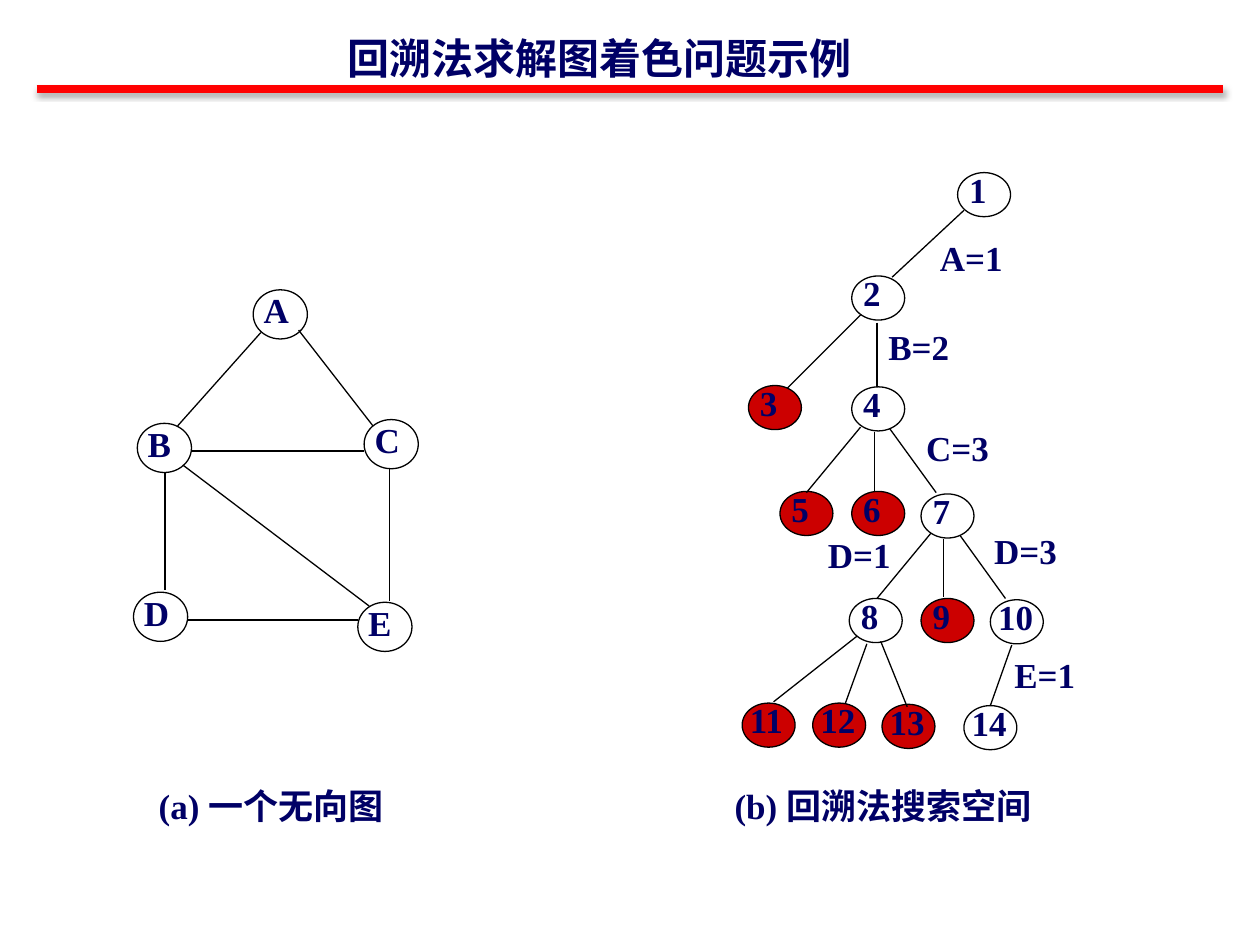
"""Build the slide on graph colouring by backtracking: a graph and its search tree."""
from lxml.etree import SubElement
from pptx import Presentation
from pptx.dml.color import RGBColor
from pptx.enum.shapes import MSO_CONNECTOR, MSO_SHAPE
from pptx.enum.text import MSO_ANCHOR, MSO_AUTO_SIZE, PP_ALIGN
from pptx.oxml.ns import qn
from pptx.util import Inches, Pt

NAVY = RGBColor(0x00, 0x00, 0x66)
RED = RGBColor(0xFF, 0x00, 0x00)
DARK_RED = RGBColor(0xCC, 0x00, 0x00)
BLACK = RGBColor(0x00, 0x00, 0x00)
LATIN_FONT = "Times New Roman"
CHINESE_FONT = "Noto Sans CJK SC"

deck = Presentation()
deck.slide_width, deck.slide_height = Inches(10), Inches(7.5)
page = deck.slides.add_slide(deck.slide_layouts[6])
column = deck.slide_width / 100
row = deck.slide_height / 75


def write(box, text, size=20, spacing=1.0, left_inset=0.0, font=LATIN_FONT):
    frame = box.text_frame
    frame.word_wrap = True
    frame.vertical_anchor = MSO_ANCHOR.TOP
    frame.margin_left = Inches(left_inset)
    frame.margin_top = frame.margin_right = frame.margin_bottom = 0
    para = frame.paragraphs[0]
    para.alignment = PP_ALIGN.JUSTIFY
    para.line_spacing = spacing
    span = para.add_run()
    span.text = text
    span.font.size, span.font.bold = Pt(size), True
    span.font.name, span.font.color.rgb = font, NAVY
    SubElement(span.font._element, qn("a:ea"), typeface=CHINESE_FONT)
    return frame


def connect(start_x, start_y, end_x, end_y, color=BLACK, weight=0.75):
    line = page.shapes.add_connector(
        MSO_CONNECTOR.STRAIGHT,
        int(start_x * column), int(start_y * row), int(end_x * column), int(end_y * row))
    line.line.color.rgb, line.line.width = color, Pt(weight)
    return SubElement(line._element.spPr, qn("a:effectLst"))


effects = connect(2.9, 7.1, 97.1, 7.1, RED, 4.5)
shadow = SubElement(effects, qn("a:outerShdw"), blurRad=str(Pt(3.1)), dist=str(Pt(1.8)),
                    dir="5400000", rotWithShape="0")
shadow_color = SubElement(shadow, qn("a:srgbClr"), val="000000")
SubElement(shadow_color, qn("a:alpha"), val="35000")

title = page.shapes.add_textbox(int(26.6 * column), int(0.1 * row), int(42 * column), int(7.1 * row))
title_frame = write(title, "回溯法求解图着色问题示例", 24, 1.5, 0.1, CHINESE_FONT)
title_frame.margin_right = Inches(0.1)
title_frame.margin_top = title_frame.margin_bottom = Inches(0.05)
title_frame.word_wrap = False
title_frame.auto_size = MSO_AUTO_SIZE.SHAPE_TO_FIT_TEXT
title_frame.paragraphs[0].alignment = PP_ALIGN.LEFT

graph_nodes = {"A": (20.1, 23), "C": (28.9, 33.3), "B": (10.9, 33.6),
               "D": (10.6, 47), "E": (28.4, 47.8)}
tree_nodes = {"1": (76, 13.7), "2": (67.6, 21.9), "3": (59.4, 30.6), "4": (67.6, 30.7),
              "5": (61.9, 39), "6": (67.6, 39), "7": (73.1, 39.2),
              "8": (67.4, 47.5), "9": (73.1, 47.5), "10": (78.6, 47.6),
              "11": (58.9, 55.8), "12": (64.5, 55.8), "13": (70, 55.9), "14": (76.5, 56)}
dead_ends = {"3", "5", "6", "9", "11", "12", "13"}

for nodes, width, height, spacing, inset in (
        (graph_nodes, 4.3, 3.9, 0.8, 0.02), (tree_nodes, 4.2, 3.5, 0.72, 0.03)):
    for name, (left, top) in nodes.items():
        node = page.shapes.add_shape(MSO_SHAPE.OVAL, int(left * column), int(top * row),
                                     int(width * column), int(height * row))
        node.shadow.inherit = False
        node.line.color.rgb, node.line.width = BLACK, Pt(0.75)
        if name in dead_ends:
            node.fill.solid()
            node.fill.fore_color.rgb = DARK_RED
        else:
            node.fill.background()
        write(node, name, spacing=spacing, left_inset=inset if len(name) == 1 else 0)

graph_edges = [(20.7, 26.4, 14.1, 33.8), (23.7, 26.2, 29.6, 33.8), (15.2, 35.8, 28.9, 35.8),
               (13.1, 37.5, 13.1, 46.8), (30.9, 37.2, 30.9, 47.7), (14.9, 49.2, 28.4, 49.2),
               (14.5, 36.9, 29.3, 48.1)]
tree_edges = [(76.5, 16.7, 70.8, 22), (68.3, 25, 62.5, 30.8), (69.6, 25.6, 69.6, 30.7),
              (68.3, 33.9, 64, 39.1), (69.4, 34.3, 69.4, 39), (70.6, 34, 74.3, 39.1),
              (73.9, 42.3, 69.6, 47.5), (74.9, 42.8, 74.9, 47.4), (76.2, 42.5, 79.8, 47.5),
              (68, 50.5, 61.4, 55.7), (68.8, 51.1, 67.1, 55.8), (69.9, 50.9, 72, 56.1),
              (80.3, 51.2, 78.6, 56)]
for edge in graph_edges + tree_edges:
    connect(*edge)

choices = [("A=1", 74.6, 19.4), ("B=2", 70.5, 26.5), ("C=3", 73.5, 34.5),
           ("D=1", 65.7, 43), ("D=3", 78.9, 42.7), ("E=1", 80.5, 52.5)]
for text, left, top in choices:
    box = page.shapes.add_textbox(int(left * column), int(top * row), int(5.8 * column), int(3 * row))
    write(box, text, spacing=0.8)

for text, left in (("(a) 一个无向图", 12.6), ("(b) 回溯法搜索空间", 58.3)):
    caption = page.shapes.add_textbox(int(left * column), int(62.3 * row),
                                      int(34 * column), int(6.5 * row))
    write(caption, text)

deck.save("out.pptx")
